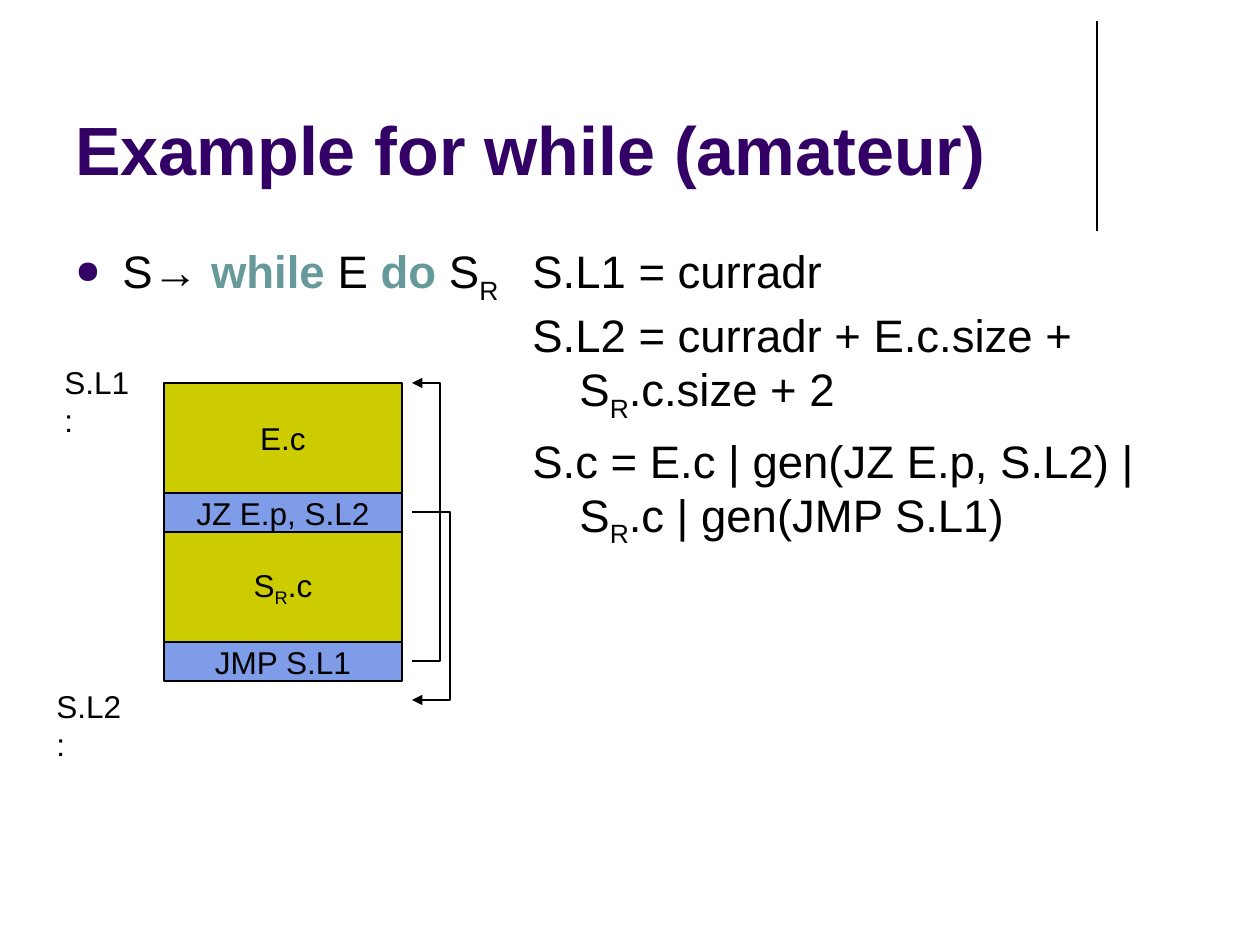
from pptx import Presentation, util as u
from pptx.dml.color import RGBColor
from pptx.enum import shapes, text
from pptx.oxml.ns import qn
from lxml import etree

SCALE = 914400 / 126
COLORS = {"ink": "000000", "title": "330066", "keyword": "669999",
          "code": "CCCC00", "jump": "7E9CE8"}


def px(*values):
    return [u.Emu(round(value * SCALE)) for value in values]


def write(para, spans, size, color="ink"):
    """Add (text, style) spans; a style is plain, sub, keyword or bold."""
    for words, style in spans:
        span = para.add_run()
        span.text = words
        font = span.font
        font.name, font.size = "Arial", u.Pt(size)
        font.bold = style in ("keyword", "bold")
        shade = "keyword" if style == "keyword" else color
        font.color.rgb = RGBColor.from_string(COLORS[shade])
        if style == "sub":
            span._r.get_or_add_rPr().set("baseline", "-25000")


deck = Presentation()
deck.slide_width, deck.slide_height = px(1260, 945)
page = deck.slides.add_slide(deck.slide_layouts[6])
black = RGBColor.from_string(COLORS["ink"])

# Vertical rule
rule = page.shapes.add_connector(shapes.MSO_CONNECTOR.STRAIGHT, *px(1097, 21, 1097, 231))
rule.line.color.rgb = black
rule.line.width = u.Pt(0.75)
etree.SubElement(rule._element.spPr, qn("a:effectLst"))

# Title
title = page.shapes.add_textbox(*px(63, 16, 1040, 179)).text_frame
title.word_wrap = True
title.vertical_anchor = text.MSO_ANCHOR.BOTTOM
write(title.paragraphs[0], [("Example for while (amateur)", "bold")], 39, "title")

# Grammar rule on the left, attribute equations on the right
production = [("S→ ", "plain"), ("while", "keyword"), (" E ", "plain"),
              ("do", "keyword"), (" S", "plain"), ("R", "sub")]
equations = [
    [("S.L1 = curradr", "plain")],
    [("S.L2 = curradr + E.c.size + S", "plain"), ("R", "sub"), (".c.size + 2", "plain")],
    [("S.c = E.c | gen(JZ E.p, S.L2) | S", "plain"), ("R", "sub"),
     (".c | gen(JMP S.L1)", "plain")],
]
for area, lines, bulleted in [((63, 237, 457, 87), [production], True),
                              ((520, 237, 677, 607), equations, False)]:
    frame = page.shapes.add_textbox(*px(*area)).text_frame
    frame.word_wrap = True
    for index, spans in enumerate(lines):
        para = frame.paragraphs[0] if index == 0 else frame.add_paragraph()
        para.space_before = u.Pt(5.2)
        write(para, spans, 26)
        props = para._p.get_or_add_pPr()
        indent = px(47)[0]
        props.set("marL", str(indent))
        props.set("indent", str(-indent))
        if bulleted:
            bullet_color = etree.SubElement(props, qn("a:buClr"))
            etree.SubElement(bullet_color, qn("a:srgbClr"), val=COLORS["title"])
            etree.SubElement(props, qn("a:buSzPct"), val="70000")
            etree.SubElement(props, qn("a:buChar"), char="●")

# Stack of code blocks
top = 383
for height, fill, spans in [
    (110, "code", [("E.c", "plain")]),
    (39, "jump", [("JZ E.p, S.L2", "plain")]),
    (110, "code", [("S", "plain"), ("R", "sub"), (".c", "plain")]),
    (39, "jump", [("JMP S.L1", "plain")]),
]:
    block = page.shapes.add_shape(shapes.MSO_SHAPE.RECTANGLE, *px(164, top, 238, height))
    block.shadow.inherit = False
    block.fill.solid()
    block.fill.fore_color.rgb = RGBColor.from_string(COLORS[fill])
    block.line.color.rgb = black
    block.line.width = u.Pt(0.75)
    frame = block.text_frame
    frame.word_wrap = False
    frame.vertical_anchor = text.MSO_ANCHOR.MIDDLE
    frame.paragraphs[0].alignment = text.PP_ALIGN.CENTER
    write(frame.paragraphs[0], spans, 18)
    top += height

# Address labels
for label, left, label_top in [("S.L1:", 52, 357), ("S.L2:", 44, 681)]:
    frame = page.shapes.add_textbox(*px(left, label_top, 98, 50)).text_frame
    frame.word_wrap = False
    write(frame.paragraphs[0], [(label, "plain")], 18)

# Jump arrows: out of the block, along the side, back to the target
for start, side, target in [(661, 440, 383), (512, 450, 700)]:
    outline = page.shapes.build_freeform(412, start, scale=SCALE)
    outline.add_line_segments([(side, start), (side, target), (412, target)], close=False)
    arrow = outline.convert_to_shape()
    arrow.shadow.inherit = False
    arrow.fill.background()
    arrow.line.color.rgb = black
    arrow.line.width = u.Pt(0.75)
    etree.SubElement(arrow.line._get_or_add_ln(), qn("a:tailEnd"), type="triangle")

deck.save("out.pptx")
